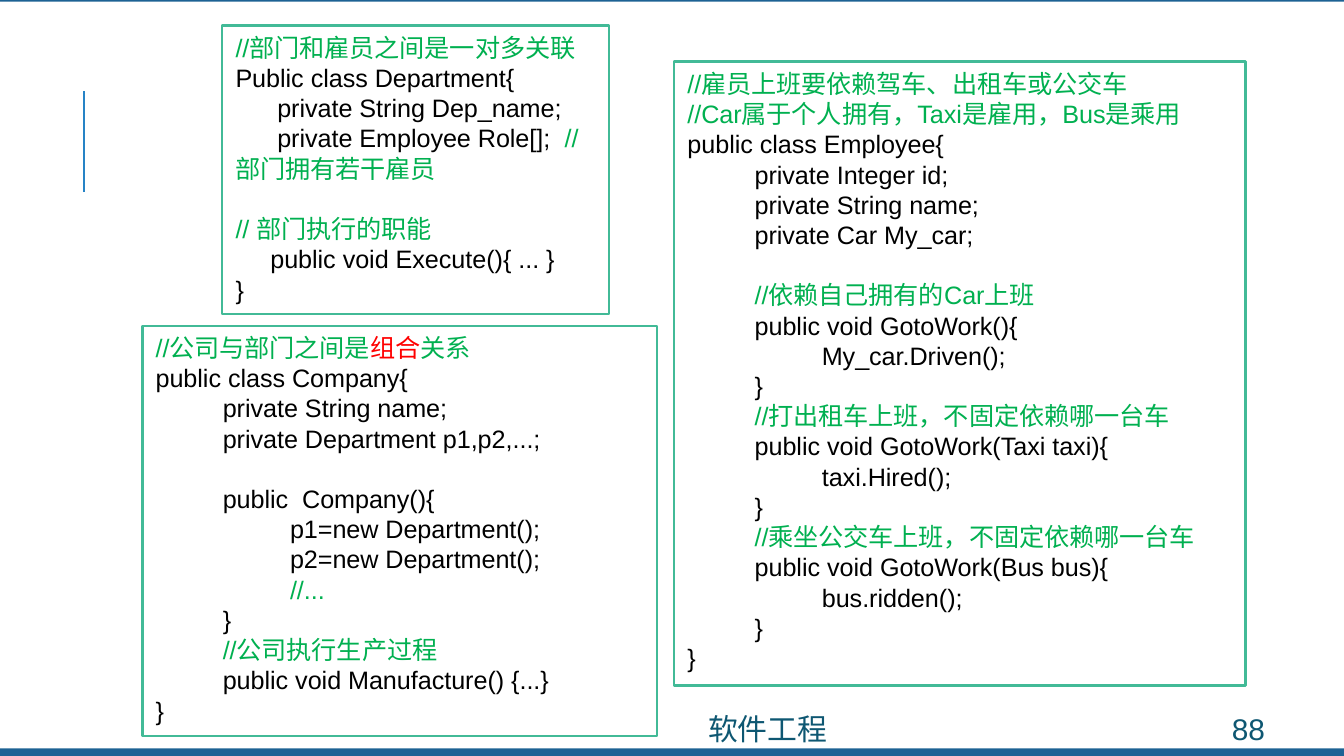
from dataclasses import dataclass

from lxml import etree
from pptx import Presentation
from pptx.dml.color import RGBColor
from pptx.enum import shapes, text
from pptx.oxml import ns
from pptx.util import Pt

COLORS = {
    "band": "1D6294",
    "rule": "2683C6",
    "border": "42BA97",
    "paper": "FFFFFF",
    "code": "000000",
    "comment": "00B050",
    "keyword": "FF0000",
    "footer": "0E5772",
}
FONT = "Arial"
CODE_SIZE, LINE_HEIGHT, TAB = 13.5, 16.18, 36
KEYWORD = "组合"
WIDTH, HEIGHT = 720, 405


@dataclass
class Band:
    top: float
    height: float
    fill: str


@dataclass
class Listing:
    left: float
    top: float
    width: float
    height: float
    lines: tuple[str, ...]  # an empty line stands for a gap


@dataclass
class Label:
    left: float
    width: float
    wording: str


# The white bands leave a thin blue edge at the top and bottom
BANDS = (
    Band(366, 39, "band"),
    Band(0, 61, "band"),
    Band(332, 69, "paper"),
    Band(0.9, 109.1, "paper"),
)
DEPARTMENT = Listing(119.1, 13.7, 207.2, 154.6, (
    "//部门和雇员之间是一对多关联",
    "Public class Department{",
    "      private String Dep_name;",
    "      private Employee Role[];  // 部门拥有若干雇员",
    "",
    "// 部门执行的职能",
    "     public void Execute(){ ... }",
    "}",
))
COMPANY = Listing(76.3, 174.5, 275.8, 219.9, (
    "//公司与部门之间是组合关系",
    "public class Company{",
    "\tprivate String name;",
    "\tprivate Department p1,p2,...;",
    "",
    "\tpublic  Company(){",
    "\t\tp1=new Department();",
    "\t\tp2=new Department();",
    "\t\t//...",
    "\t}",
    "\t//公司执行生产过程",
    "\tpublic void Manufacture() {...}",
    "}",
))
EMPLOYEE = Listing(361.2, 33, 306, 334.3, (
    "//雇员上班要依赖驾车、出租车或公交车",
    "//Car属于个人拥有，Taxi是雇用，Bus是乘用",
    "public class Employee{",
    "\tprivate Integer id;",
    "\tprivate String name;",
    "\tprivate Car My_car;",
    "",
    "\t//依赖自己拥有的Car上班",
    "\tpublic void GotoWork(){",
    "\t\tMy_car.Driven();",
    "\t}",
    "\t//打出租车上班，不固定依赖哪一台车",
    "\tpublic void GotoWork(Taxi taxi){",
    "\t\ttaxi.Hired();",
    "\t}",
    "\t//乘坐公交车上班，不固定依赖哪一台车",
    "\tpublic void GotoWork(Bus bus){",
    "\t\tbus.ridden();",
    "\t}",
    "}",
))
LABELS = (Label(187.7, 447.1, "软件工程"), Label(640, 57.6, "88"))


def rgb(name: str) -> RGBColor:
    return RGBColor.from_string(COLORS[name])


def add_box(slide, left: float, top: float, width: float, height: float, fill: str):
    box = slide.shapes.add_shape(
        shapes.MSO_SHAPE.RECTANGLE, Pt(left), Pt(top), Pt(width), Pt(height))
    box.shadow.inherit = False
    box.fill.solid()
    box.fill.fore_color.rgb = rgb(fill)
    box.line.fill.background()
    return box


def color_parts(line: str) -> list[tuple[str, str]]:
    """Split a line into code, comment and keyword, each with its colour."""
    code, slashes, remark = line.partition("//")
    before, keyword, after = (slashes + remark).partition(KEYWORD)
    parts = [(code, "code"), (before, "comment"), (keyword, "keyword"), (after, "comment")]
    return [part for part in parts if part[0]]


def add_tab_stops(paragraph) -> None:
    tab_list = etree.SubElement(paragraph._p.get_or_add_pPr(), ns.qn("a:tabLst"))
    for level in (1, 2):
        etree.SubElement(tab_list, ns.qn("a:tab"), pos=str(Pt(TAB * level)), algn="l")


def draw_listing(slide, listing: Listing) -> None:
    box = add_box(slide, listing.left, listing.top, listing.width, listing.height, "paper")
    box.line.color.rgb = rgb("border")
    box.line.width = Pt(1.25)
    frame = box.text_frame
    frame.word_wrap = True
    frame.vertical_anchor = text.MSO_ANCHOR.TOP

    for number, line in enumerate(listing.lines):
        if not line:
            continue
        paragraph = frame.add_paragraph() if number else frame.paragraphs[0]
        add_tab_stops(paragraph)
        paragraph.alignment = text.PP_ALIGN.LEFT
        paragraph.line_spacing = Pt(LINE_HEIGHT)
        if number and not listing.lines[number - 1]:
            paragraph.space_before = Pt(LINE_HEIGHT)
        paragraph.font.name = FONT
        paragraph.font.size = Pt(CODE_SIZE)
        for wording, color in color_parts(line):
            run = paragraph.add_run()
            run.text = wording
            run.font.color.rgb = rgb(color)


def draw_label(slide, label: Label) -> None:
    frame = slide.shapes.add_textbox(
        Pt(label.left), Pt(382), Pt(label.width), Pt(16.6)).text_frame
    frame.word_wrap = True
    frame.vertical_anchor = text.MSO_ANCHOR.MIDDLE
    paragraph = frame.paragraphs[0]
    paragraph.text = label.wording
    paragraph.alignment = text.PP_ALIGN.CENTER
    paragraph.font.name = FONT
    paragraph.font.size = Pt(16)
    paragraph.font.color.rgb = rgb("footer")


def main() -> None:
    deck = Presentation()
    deck.slide_width, deck.slide_height = Pt(WIDTH), Pt(HEIGHT)
    slide = deck.slides.add_slide(deck.slide_layouts[6])

    # Bands along the top and bottom edges
    for band in BANDS:
        add_box(slide, 0, band.top, WIDTH, band.height, band.fill)

    # Short vertical rule at the left
    rule = slide.shapes.add_connector(
        shapes.MSO_CONNECTOR.STRAIGHT, Pt(44.8), Pt(103), Pt(44.8), Pt(49))
    rule.line.color.rgb = rgb("rule")
    rule.line.width = Pt(1)
    etree.SubElement(rule._element.spPr, ns.qn("a:effectLst"))

    # Code listings
    for listing in (DEPARTMENT, COMPANY, EMPLOYEE):
        draw_listing(slide, listing)

    # Footer and slide number
    for label in LABELS:
        draw_label(slide, label)

    deck.save("out.pptx")


if __name__ == "__main__":
    main()
